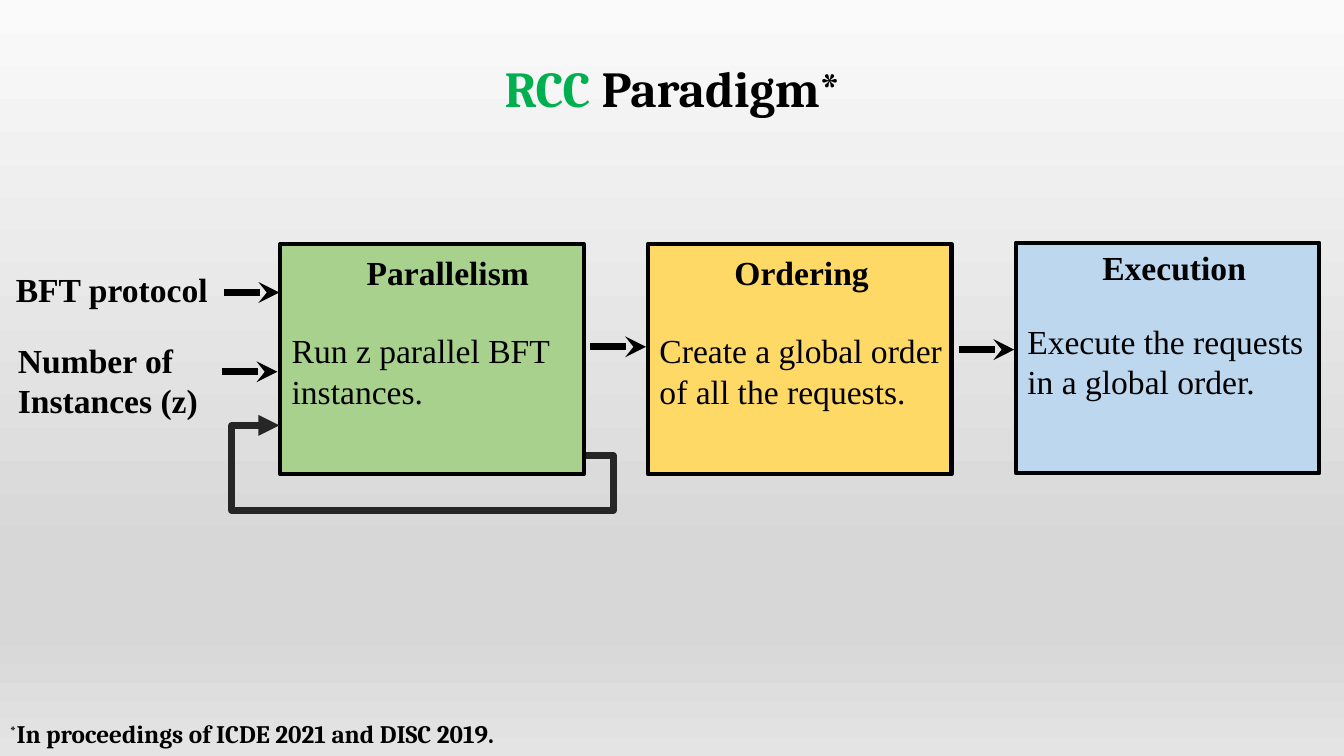
import pptx
import pptx.dml.color
import pptx.enum.shapes
import pptx.enum.text
import pptx.oxml.ns
import pptx.oxml.xmlchemy
import pptx.util
from pptx.util import Cm

COLOURS = {
    "black": "000000",
    "accent": "00B050",
    "loop": "262626",
    "parallelism": "A9D18E",
    "ordering": "FFD966",
    "execution": "BDD7EE",
}
BACKDROP = [(0, "FAFAFA"), (74, "D7D7D7"), (83, "D7D7D7"), (100, "E4E4E4")]
qn = pptx.oxml.ns.qn
new_element = pptx.oxml.xmlchemy.OxmlElement


def style(span, size, font, bold=True, colour="black"):
    span.font.size = pptx.util.Pt(size)
    span.font.name = font
    span.font.bold = bold
    span.font.color.rgb = pptx.dml.color.RGBColor.from_string(COLOURS[colour])


def add_arrow(kind, start, end, colour, head):
    """Draw a 5 pt connector with an arrowhead at its end."""
    arrow = page.shapes.add_connector(kind, Cm(start[0]), Cm(start[1]), Cm(end[0]), Cm(end[1]))
    arrow.line.width = pptx.util.Pt(5)
    arrow.line.color.rgb = pptx.dml.color.RGBColor.from_string(COLOURS[colour])
    tail = new_element("a:tailEnd")
    tail.set("type", head)
    arrow.element.spPr.find(qn("a:ln")).append(tail)
    arrow.element.spPr.append(new_element("a:effectLst"))
    return arrow


deck = pptx.Presentation()
deck.slide_width, deck.slide_height = Cm(33.87), Cm(19.05)
page = deck.slides.add_slide(deck.slide_layouts[5])

# Background gradient, top to bottom
fill = page.background.fill
fill.gradient()
fill.gradient_angle = 270
stops = page.element.find(".//" + qn("a:gsLst"))
for stop in list(stops):
    stops.remove(stop)
for percent, colour in BACKDROP:
    stop = new_element("a:gs")
    stop.set("pos", str(percent * 1000))
    shade = new_element("a:srgbClr")
    shade.set("val", colour)
    stop.append(shade)
    stops.append(stop)

# Title
title = page.shapes.title
title.left, title.top, title.width, title.height = Cm(0.03), Cm(1.47), Cm(33.87), Cm(1.65)
title.text_frame.auto_size = pptx.enum.text.MSO_AUTO_SIZE.NONE
title.text_frame.vertical_anchor = pptx.enum.text.MSO_ANCHOR.MIDDLE
para = title.text_frame.paragraphs[0]
para.alignment = pptx.enum.text.PP_ALIGN.CENTER
para.line_spacing = 0.9
for words, colour in [("RCC", "accent"), (" Paradigm*", "black")]:
    span = para.add_run()
    span.text = words
    style(span, 36, "Cambria", colour=colour)

# Stages: name, heading width, heading top, description, its width and top, box top
stages = [
    ("Parallelism", 4.65, 6.22, "Run z parallel BFT\ninstances.", 7.44, 8.2, 6.15),
    ("Ordering", 3.94, 6.22, "Create a global order\nof all the requests.", 7.9, 8.2, 6.15),
    ("Execution", 4.17, 6.1, "Execute the requests\nin a global order.", 7.75, 7.95, 6.12),
]
labels = [
    ("BFT protocol", 0.15, 6.65, 5.38, 1.27, True),
    ("Number of\nInstances (z)", 0.2, 8.43, 5.11, 2.31, True),
]
for index, (name, name_width, name_top, about, about_width, about_top, top) in enumerate(stages):
    left = 7.06 + index * 9.27
    box = page.shapes.add_shape(
        pptx.enum.shapes.MSO_SHAPE.RECTANGLE, Cm(left), Cm(top), Cm(7.65), Cm(5.8))
    box.shadow.inherit = False
    box.fill.solid()
    box.fill.fore_color.rgb = pptx.dml.color.RGBColor.from_string(COLOURS[name.lower()])
    box.line.color.rgb = pptx.dml.color.RGBColor.from_string(COLOURS["black"])
    box.line.width = pptx.util.Pt(3)
    labels.append((name, left + 1.93, name_top, name_width, 1.27, True))
    labels.append((about, left + 0.04, about_top, about_width, 2.31, False))

for words, left, top, width, height, bold in labels:
    box = page.shapes.add_textbox(Cm(left), Cm(top), Cm(width), Cm(height))
    box.text_frame.word_wrap = False
    box.text_frame.auto_size = pptx.enum.text.MSO_AUTO_SIZE.SHAPE_TO_FIT_TEXT
    box.text_frame.text = words
    for para in box.text_frame.paragraphs:
        style(para.runs[0], 24, "Times New Roman", bold)

# Feedback loop under the first stage
loop = add_arrow(pptx.enum.shapes.MSO_CONNECTOR.ELBOW, (14.76, 11.48), (7.04, 10.72),
                 "loop", "triangle")
frame = loop.element.spPr.find(qn("a:xfrm"))
frame.flipH = frame.flipV = False
frame.set("rot", str(180 * 60000))
geometry = loop.element.spPr.find(qn("a:prstGeom"))
geometry.set("prst", "bentConnector5")
bends = geometry.find(qn("a:avLst"))
for number, bend in enumerate([-9000, -181500, 115500], start=1):
    guide = new_element("a:gd")
    guide.set("name", f"adj{number}")
    guide.set("fmla", f"val {bend}")
    bends.append(guide)

# Straight arrows into and between the stages
for left, top in [(5.64, 7.37), (5.59, 9.37), (14.88, 8.74), (24.16, 8.81)]:
    add_arrow(pptx.enum.shapes.MSO_CONNECTOR.STRAIGHT, (left, top), (left + 1.4, top),
              "black", "stealth")

# Footnote
note = page.shapes.add_textbox(Cm(0), Cm(18.06), Cm(13.61), Cm(0.94))
note.text_frame.word_wrap = True
note.text_frame.vertical_anchor = pptx.enum.text.MSO_ANCHOR.BOTTOM
para = note.text_frame.paragraphs[0]
para.line_spacing = 0.9
for words in ["*", "In proceedings of ICDE 2021 and DISC 2019."]:
    span = para.add_run()
    span.text = words
    style(span, 18, "Cambria")
para.runs[0].font._element.set("baseline", "30000")

deck.save("out.pptx")
